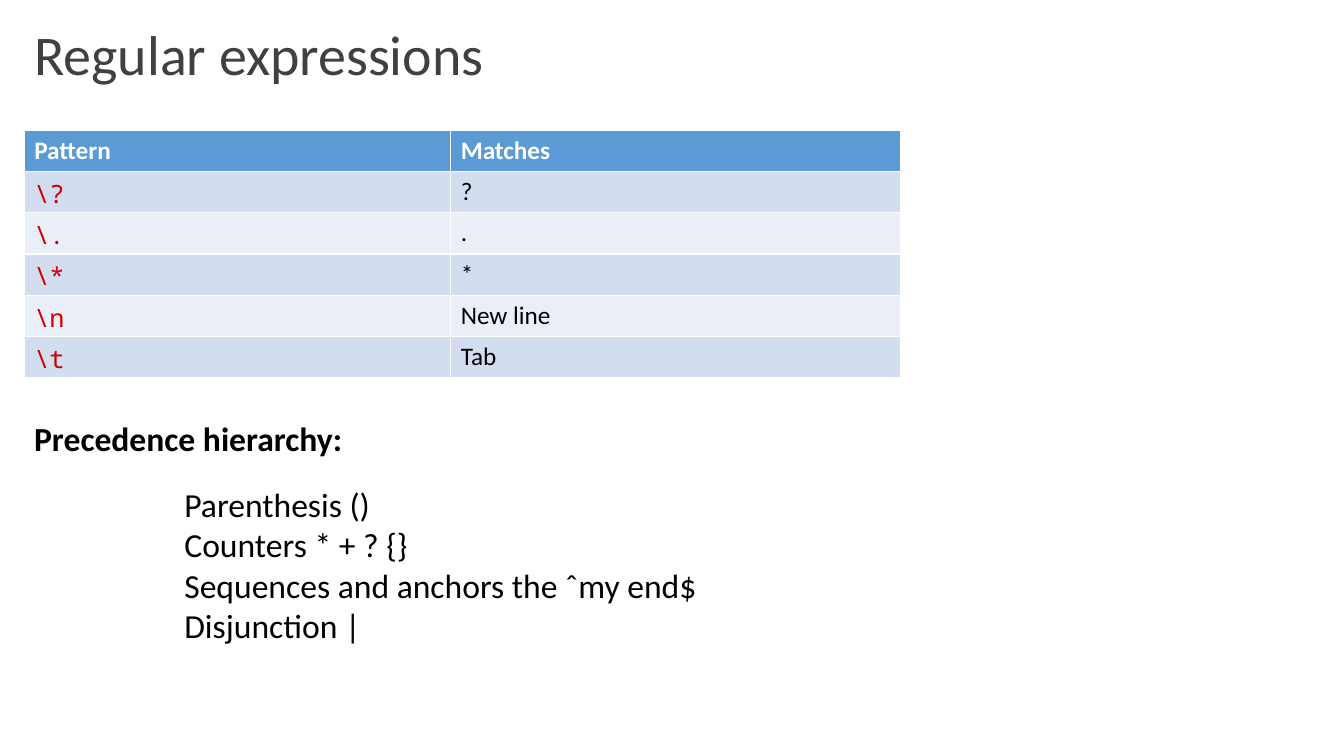
"""Build the regular expressions slide: escape patterns and precedence."""
from pptx import Presentation
from pptx import util as u
from pptx.dml.color import RGBColor
from pptx.enum import text

THEME = {
    "sans": "Calibri", "mono": "Noto Sans Mono",
    "grey": "404040", "white": "FFFFFF", "black": "000000", "red": "CC0000",
    "head": "5B9BD5", "bands": ("EAEFF7", "D2DEEF"),
    "title": 40, "body": 24, "cell": 18,
}
TITLE = "Regular expressions"
ROWS = [
    ("Pattern", "Matches"),
    (r"\?", "?"),
    (r"\.", "."),
    (r"\*", "*"),
    (r"\n", "New line"),
    (r"\t", "Tab"),
]
LABEL = "Precedence hierarchy:"
ORDER = [
    "Parenthesis ()",
    "Counters * + ? {}",
    "Sequences and anchors the \u02c6my end$",
    "Disjunction |",
]
WIDE, HIGH = 13.33, 7.5
LEFT = 0.24
COLS = (4.23, 4.46)
ROW = 0.41


def inches(*nums):
    """Turn numbers into lengths in inches."""
    return [u.Inches(n) for n in nums]


def write(frame, lines, size, color, font="sans", bold=False):
    """Fill a text frame with one left-aligned paragraph per line."""
    frame.text = "\n".join(lines)
    style = {"name": THEME[font], "size": u.Pt(THEME[size]), "bold": bold}
    for para in frame.paragraphs:
        para.alignment = text.PP_ALIGN.LEFT
        for run in para.runs:
            for key, value in style.items():
                setattr(run.font, key, value)
            run.font.color.rgb = RGBColor.from_string(THEME[color])


def setup(frame, wrap):
    """Anchor a text frame at the top and set its wrapping."""
    look = {"word_wrap": wrap, "vertical_anchor": text.MSO_ANCHOR.TOP,
            "auto_size": text.MSO_AUTO_SIZE.SHAPE_TO_FIT_TEXT}
    for key, value in look.items():
        setattr(frame, key, value)


def add_title(slide):
    """Move and format the title placeholder."""
    title = slide.shapes.title
    spots = zip(("left", "top", "width", "height"),
                inches(LEFT, 0.14, 4.71, 0.77))
    for key, value in spots:
        setattr(title, key, value)
    write(title.text_frame, [TITLE], "title", "grey")
    setup(title.text_frame, False)


def add_grid(slide):
    """Add the table of patterns with banded rows."""
    box = inches(LEFT, 1.29, sum(COLS), ROW * len(ROWS))
    grid = slide.shapes.add_table(len(ROWS), len(COLS), *box).table
    for col, width in zip(grid.columns, inches(*COLS)):
        col.width = width
    for r, row in enumerate(ROWS):
        fill = THEME["bands"][r % 2] if r else THEME["head"]
        for c, word in enumerate(row):
            cell = grid.cell(r, c)
            cell.fill.solid()
            cell.fill.fore_color.rgb = RGBColor.from_string(fill)
            if r == 0:
                look = ("white", "sans", True)
            else:
                look = (("red", "mono"), ("black", "sans"))[c]
            write(cell.text_frame, [word], "cell", *look)


def add_text(slide, box, lines, bold=False):
    """Add a wrapped text box in body size."""
    frame = slide.shapes.add_textbox(*inches(*box)).text_frame
    write(frame, lines, "body", "black", bold=bold)
    setup(frame, True)


deck = Presentation()
deck.slide_width, deck.slide_height = inches(WIDE, HIGH)
page = deck.slides.add_slide(deck.slide_layouts[5])
add_title(page)
add_grid(page)
add_text(page, (1.73, 4.75, WIDE / 2, 1.72), ORDER)
add_text(page, (LEFT, 4.1, 4.05, 0.5), [LABEL], bold=True)
deck.save("out.pptx")
